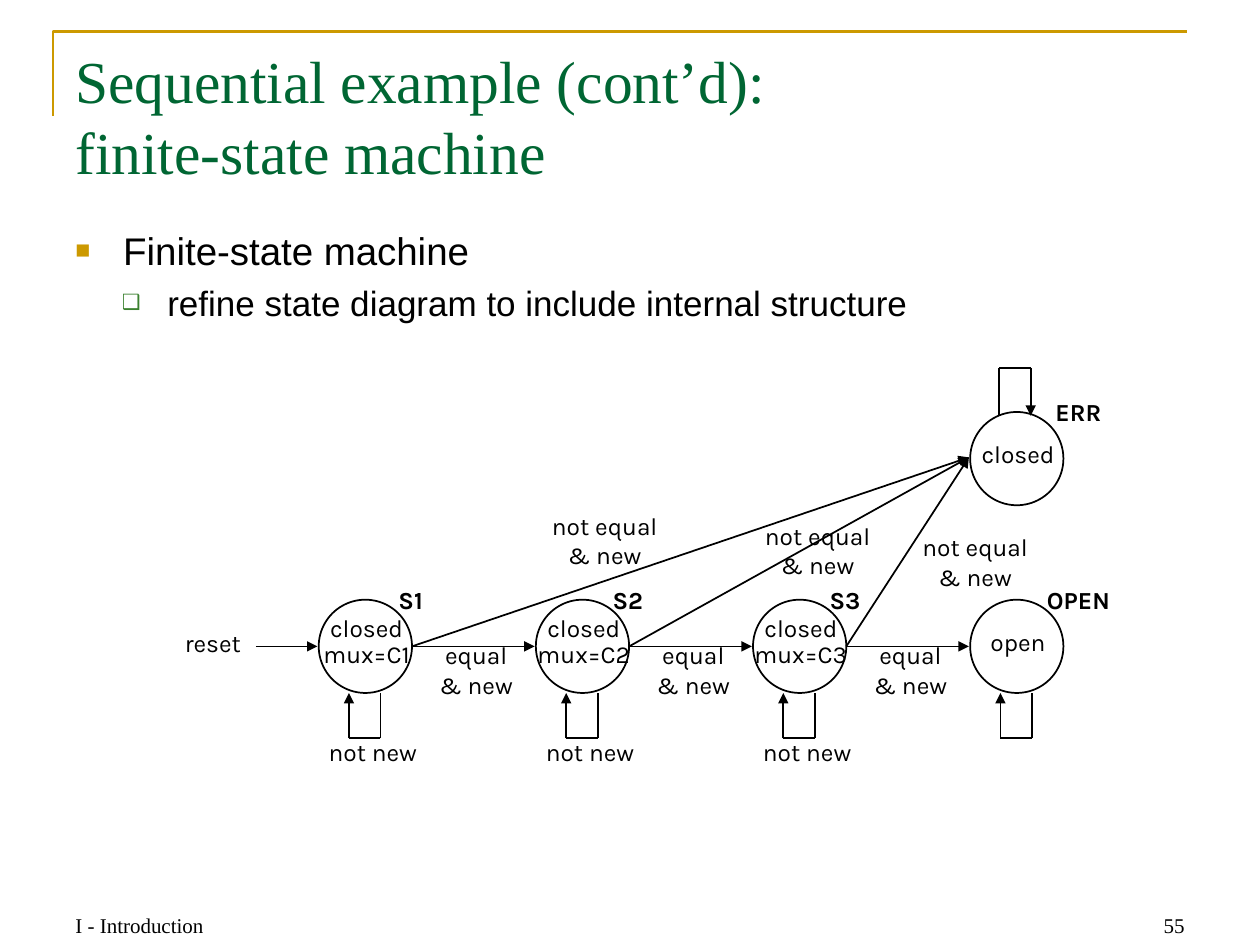
from lxml.etree import SubElement
from pptx import Presentation
from pptx.dml.color import RGBColor
from pptx.enum.shapes import MSO_CONNECTOR, MSO_SHAPE
from pptx.enum.text import MSO_ANCHOR, PP_ALIGN
from pptx.oxml.ns import qn
from pptx.util import Inches, Pt

COLORS = {"ink": "000000", "title": "006633", "gold": "CC9900", "green": "3B812F"}
WIDTH, HEIGHT = 10, 7.5
MARGIN = 0.05 * WIDTH
CONTENT = WIDTH - 2 * MARGIN
DIAMETER = 0.74
RADIUS = DIAMETER / 2
GAP = 0.01


def color(name):
    return RGBColor.from_string(COLORS[name])


def style_font(font, name, size, tone="ink", bold=False):
    font.name, font.size, font.bold = name, Pt(size), bold
    font.color.rgb = color(tone)


def add_text_box(slide, left, top, width, height):
    return slide.shapes.add_textbox(Inches(left), Inches(top), Inches(width), Inches(height))


def add_label(slide, center, top, lines, spacing=17, bold=False):
    """Centre diagram lettering on an x position, one paragraph per line."""
    width = 1.6
    height = len(lines) * spacing / 72 + 0.06
    frame = add_text_box(slide, center - width / 2, top, width, height).text_frame
    frame.margin_left = frame.margin_right = Inches(0.02)
    frame.margin_top = frame.margin_bottom = Inches(0.03)
    frame.word_wrap = False
    frame.text = "\n".join(lines)
    for paragraph in frame.paragraphs:
        paragraph.alignment = PP_ALIGN.CENTER
        paragraph.line_spacing = Pt(spacing)
        style_font(paragraph.font, "Karla", 14, bold=bold)


def add_line(slide, start, end, arrow=False):
    points = [Inches(value) for value in (*start, *end)]
    connector = slide.shapes.add_connector(MSO_CONNECTOR.STRAIGHT, *points)
    connector.line.color.rgb = color("ink")
    connector.line.width = Pt(1)
    if arrow:
        SubElement(connector.line._get_or_add_ln(), qn("a:tailEnd"), type="triangle")
    SubElement(connector._element.spPr, qn("a:effectLst"))


def add_self_loop(slide, start_x, end_x, near, far):
    """Leave the state at start_x, turn at far, and return at end_x."""
    add_line(slide, (start_x, near), (start_x, far))
    add_line(slide, (start_x, far), (end_x, far))
    add_line(slide, (end_x, far), (end_x, near), arrow=True)


def add_state(slide, left, top, name, lines, name_center):
    circle = slide.shapes.add_shape(
        MSO_SHAPE.OVAL, Inches(left), Inches(top), Inches(DIAMETER), Inches(DIAMETER))
    circle.shadow.inherit = False
    circle.fill.background()
    circle.line.color.rgb = color("ink")
    circle.line.width = Pt(1)
    text_top = top + (0.1 if len(lines) == 2 else 0.21)
    add_label(slide, left + RADIUS + GAP, text_top, lines, spacing=15)
    add_label(slide, left + name_center, top - 0.15, [name], bold=True)


def add_state_diagram(slide, left, top, width, height):
    """Draw three steps and OPEN along the lower row, with ERR above OPEN."""
    pitch = (width - DIAMETER) / 3
    row = top + height - DIAMETER
    middle = row + RADIUS
    columns = [left + index * pitch for index in range(4)]
    open_left = columns[-1]
    error_entry = (open_left - GAP, top + RADIUS - GAP)

    add_label(slide, left - 0.84, row + 0.19, ["reset"])
    add_line(slide, (left - 0.5, middle), (left - GAP, middle), arrow=True)

    error_labels = [(4.8, 4.02), (6.49, 4.1), (7.74, 4.19)]
    for number, (column, error_label) in enumerate(zip(columns, error_labels), start=1):
        add_state(slide, column, row, f"S{number}", ["closed", f"mux=C{number}"], 0.73)
        exit_x = column + DIAMETER
        add_line(slide, (exit_x, middle), (column + pitch - GAP, middle), arrow=True)
        add_line(slide, (exit_x, middle), error_entry, arrow=True)
        add_label(slide, column + 1.25, row + 0.29, ["equal", "& new"])
        add_label(slide, *error_label, ["not equal", "& new"])
        add_label(slide, column + 0.43, row + 1.06, ["not new"])

    add_state(slide, open_left, row, "OPEN", ["open"], 0.86)
    add_state(slide, open_left, top, "ERR", ["closed"], 0.86)
    for column in columns:
        add_self_loop(slide, column + 0.49, column + 0.24, row + DIAMETER, row + 1.1)
    add_self_loop(slide, open_left + 0.23, open_left + 0.48, top + 0.03, top - 0.35)


def add_corner_rule(slide, left, top, width, height):
    builder = slide.shapes.build_freeform(Inches(left), Inches(top + height))
    corner = [(left, top), (left + width, top)]
    builder.add_line_segments([(Inches(x), Inches(y)) for x, y in corner], close=False)
    rule = builder.convert_to_shape()
    rule.shadow.inherit = False
    rule.fill.background()
    rule.line.color.rgb = color("gold")
    rule.line.width = Pt(1.5)


def fill_title(slide, left, top, width, height):
    title = slide.shapes.title
    title.left, title.top = Inches(left), Inches(top)
    title.width, title.height = Inches(width), Inches(height)
    frame = title.text_frame
    frame.vertical_anchor = MSO_ANCHOR.TOP
    frame.text = "Sequential example (cont’d):\vfinite-state machine"
    paragraph = frame.paragraphs[0]
    paragraph.alignment = PP_ALIGN.LEFT
    style_font(paragraph.font, "Times New Roman", 34, "title")


def add_bullets(slide, left, top, width, height):
    frame = add_text_box(slide, left, top, width, height).text_frame
    frame.word_wrap = True
    items = [
        ("Finite-state machine", 22, "■", "gold", 65, 0.38, 0.38),
        ("refine state diagram to include internal structure", 20, "❑", "green", 60, 0.73, 0.36),
    ]
    frame.text = "\n".join(item[0] for item in items)
    for level, (paragraph, item) in enumerate(zip(frame.paragraphs, items)):
        _, size, mark, tone, percent, indent, hanging = item
        paragraph.level = level
        properties = paragraph._p.get_or_add_pPr()
        properties.set("marL", str(Inches(indent)))
        properties.set("indent", str(-Inches(hanging)))
        if level:
            paragraph.space_before = Pt(5)
        bullet_color = SubElement(properties, qn("a:buClr"))
        SubElement(bullet_color, qn("a:srgbClr"), val=COLORS[tone])
        SubElement(properties, qn("a:buSzPct"), val=str(percent * 1000))
        SubElement(properties, qn("a:buFont"), typeface="Arial")
        SubElement(properties, qn("a:buChar"), char=mark)
        style_font(paragraph.font, "Arial", size)


def add_footer(slide, left, top, width, height):
    part = 2.33
    entries = [("I - Introduction", left, PP_ALIGN.LEFT),
               ("55", left + width - part, PP_ALIGN.RIGHT)]
    for text, part_left, alignment in entries:
        frame = add_text_box(slide, part_left, top, part, height).text_frame
        frame.word_wrap = True
        frame.vertical_anchor = MSO_ANCHOR.BOTTOM
        frame.text = text
        paragraph = frame.paragraphs[0]
        paragraph.alignment = alignment
        style_font(paragraph.font, "Times New Roman", 12)


def main():
    presentation = Presentation()
    presentation.slide_width, presentation.slide_height = Inches(WIDTH), Inches(HEIGHT)
    slide = presentation.slides.add_slide(presentation.slide_layouts[5])
    add_corner_rule(slide, 0.42, 0.25, CONTENT, 0.67)
    add_footer(slide, MARGIN, 6.99, CONTENT, 0.5)
    add_state_diagram(slide, 2.53, 3.27, 5.91, 2.23)
    fill_title(slide, MARGIN, 0.3, CONTENT, 1.25)
    add_bullets(slide, MARGIN, 1.75, CONTENT, 0.9)
    presentation.save("out.pptx")


if __name__ == "__main__":
    main()
